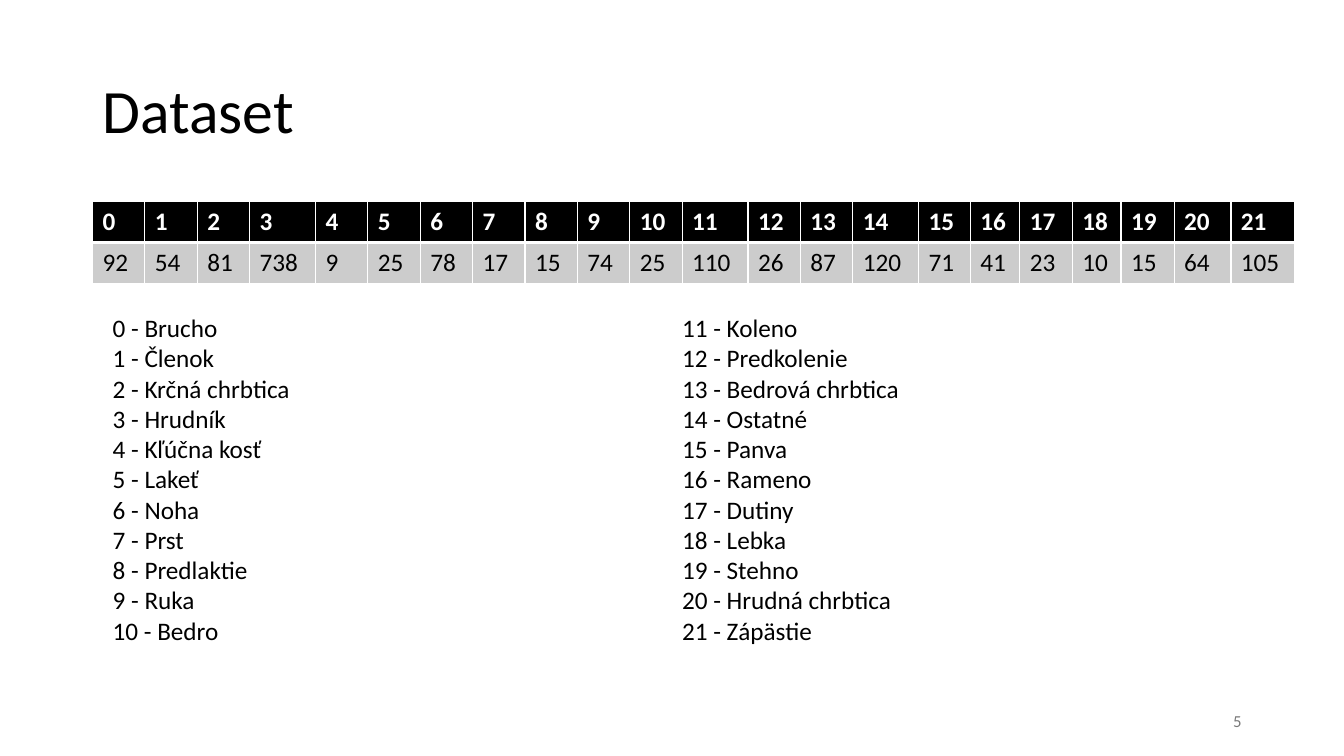
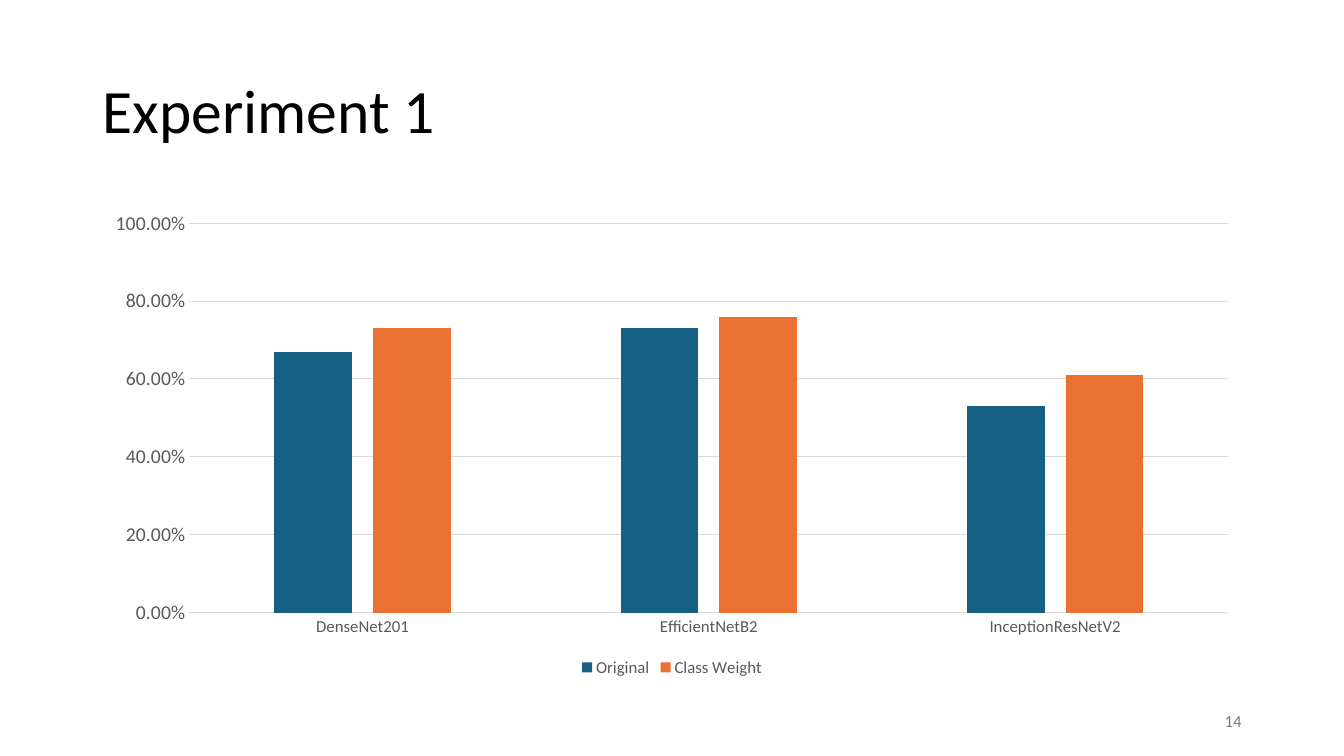
from dataclasses import dataclass

from lxml import etree
from pptx import Presentation
from pptx.chart.data import CategoryChartData
from pptx.dml.color import RGBColor
from pptx.enum.chart import XL_CHART_TYPE as ChartType
from pptx.enum.chart import XL_LEGEND_POSITION as LegendPosition
from pptx.enum.chart import XL_TICK_MARK as TickMark
from pptx.enum.text import MSO_ANCHOR as Anchor
from pptx.enum.text import MSO_AUTO_SIZE as AutoSize
from pptx.enum.text import PP_ALIGN as Align
from pptx.oxml.ns import qn
from pptx.util import Cm, Pt

# Shared style
FONT = "Calibri"
BLACK = RGBColor(0x00, 0x00, 0x00)
WHITE = RGBColor(0xFF, 0xFF, 0xFF)
CELL_GREY = RGBColor(0xCC, 0xCC, 0xCC)
NUMBER_GREY = RGBColor(0x79, 0x79, 0x79)
AXIS_GREY = RGBColor(0x59, 0x59, 0x59)
GRID_GREY = RGBColor(0xD9, 0xD9, 0xD9)
BLUE = RGBColor(0x15, 0x60, 0x82)
ORANGE = RGBColor(0xE9, 0x71, 0x32)

LEFT, CONTENT_TOP, CONTENT_WIDTH = Cm(2.33), Cm(5.08), Cm(29.21)
ROW_HEIGHT = Cm(1.03)
TITLE_ONLY = 5


@dataclass(frozen=True)
class BodyPart:
    name: str
    count: int
    width: float = 1.32  # column width in centimetres


@dataclass(frozen=True)
class Series:
    name: str
    values: tuple[float, ...]
    color: RGBColor


BODY_PARTS = [
    BodyPart("Brucho", 92),
    BodyPart("Členok", 54),
    BodyPart("Krčná chrbtica", 81),
    BodyPart("Hrudník", 738, 1.66),
    BodyPart("Kľúčna kosť", 9),
    BodyPart("Lakeť", 25),
    BodyPart("Noha", 78),
    BodyPart("Prst", 17),
    BodyPart("Predlaktie", 15),
    BodyPart("Ruka", 74),
    BodyPart("Bedro", 25),
    BodyPart("Koleno", 110, 1.66),
    BodyPart("Predkolenie", 26),
    BodyPart("Bedrová chrbtica", 87),
    BodyPart("Ostatné", 120, 1.66),
    BodyPart("Panva", 71, 1.3),
    BodyPart("Rameno", 41, 1.25),
    BodyPart("Dutiny", 23),
    BodyPart("Lebka", 10, 1.23),
    BodyPart("Stehno", 15, 1.34),
    BodyPart("Hrudná chrbtica", 64, 1.43),
    BodyPart("Zápästie", 105, 1.6),
]

NETWORKS = ["DenseNet201", "EfficientNetB2", "InceptionResNetV2"]
RESULTS = [
    Series("Original", (0.67, 0.73, 0.53), BLUE),
    Series("Class Weight", (0.73, 0.76, 0.61), ORANGE),
]


def style_font(font, size: float, color: RGBColor, bold: bool = False) -> None:
    font.name = FONT
    font.size = Pt(size)
    font.bold = bold
    font.color.rgb = color


def add_title_slide(presentation, title: str, number: int):
    """Add a slide with the shared title and slide number."""
    slide = presentation.slides.add_slide(presentation.slide_layouts[TITLE_ONLY])
    shape = slide.shapes.title
    shape.left, shape.top = LEFT, Cm(1.01)
    shape.width, shape.height = CONTENT_WIDTH, Cm(3.68)
    frame = shape.text_frame
    frame.text = title
    frame.auto_size = AutoSize.NONE
    frame.vertical_anchor = Anchor.MIDDLE
    paragraph = frame.paragraphs[0]
    paragraph.alignment = Align.LEFT
    paragraph.line_spacing = 0.9
    style_font(paragraph.font, 44, BLACK)

    frame = slide.shapes.add_textbox(
        Cm(23.92), Cm(17.65), Cm(7.62), Cm(1.01)
    ).text_frame
    frame.word_wrap = True
    frame.vertical_anchor = Anchor.MIDDLE
    frame.text = str(number)
    frame.paragraphs[0].alignment = Align.RIGHT
    style_font(frame.paragraphs[0].font, 12, NUMBER_GREY)
    return slide


def set_borders(cell, top: float, bottom: float) -> None:
    """Give a cell white borders, 1 pt at the sides."""
    properties = cell._tc.get_or_add_tcPr()
    for tag, width in (("lnL", 1), ("lnR", 1), ("lnT", top), ("lnB", bottom)):
        line = etree.SubElement(properties, qn(f"a:{tag}"), w=str(Pt(width)))
        fill = etree.SubElement(line, qn("a:solidFill"))
        etree.SubElement(fill, qn("a:srgbClr"), val=str(WHITE))


def fill_cell(cell, text: str, header: bool) -> None:
    set_borders(cell, top=1 if header else 3, bottom=3 if header else 1)
    cell.fill.solid()
    cell.fill.fore_color.rgb = BLACK if header else CELL_GREY
    cell.text = text
    style_font(
        cell.text_frame.paragraphs[0].font, 18, WHITE if header else BLACK, header
    )


def add_count_table(slide, parts: list[BodyPart]) -> None:
    width = Cm(sum(part.width for part in parts))
    table = slide.shapes.add_table(
        2, len(parts), LEFT, CONTENT_TOP, width, 2 * ROW_HEIGHT
    ).table
    table.horz_banding = False
    for index, part in enumerate(parts):
        table.columns[index].width = Cm(part.width)
        fill_cell(table.cell(0, index), str(index), header=True)
        fill_cell(table.cell(1, index), str(part.count), header=False)


def add_key(slide, left: Cm, lines: list[str]) -> None:
    """List class numbers with their names, one a line."""
    frame = slide.shapes.add_textbox(left, Cm(7.75), Cm(10.24), Cm(8.71)).text_frame
    frame.word_wrap = True
    frame.auto_size = AutoSize.SHAPE_TO_FIT_TEXT
    frame.text = "\n".join(lines)
    for paragraph in frame.paragraphs:
        style_font(paragraph.font, 18, BLACK)


def add_accuracy_chart(slide, categories: list[str], results: list[Series]) -> None:
    data = CategoryChartData(number_format="0.00%")
    data.categories = categories
    for result in results:
        data.add_series(result.name, result.values)
    chart = slide.shapes.add_chart(
        ChartType.COLUMN_CLUSTERED, LEFT, CONTENT_TOP, CONTENT_WIDTH, Cm(12.09), data
    ).chart
    style_font(chart.font, 10, BLACK)
    chart.has_title = False
    chart.has_legend = True
    chart.legend.position = LegendPosition.BOTTOM
    chart.legend.include_in_layout = False
    style_font(chart.legend.font, 12, AXIS_GREY)

    # Columns
    plot = chart.plots[0]
    plot.gap_width, plot.overlap = 219, -27
    plot.vary_by_categories = False
    for series, result in zip(plot.series, results):
        series.format.fill.solid()
        series.format.fill.fore_color.rgb = result.color

    # Axes
    category_axis, value_axis = chart.category_axis, chart.value_axis
    for axis, size in ((category_axis, 12), (value_axis, 14)):
        axis.major_tick_mark = axis.minor_tick_mark = TickMark.NONE
        style_font(axis.tick_labels.font, size, AXIS_GREY)
    value_axis.minimum_scale, value_axis.maximum_scale = 0, 1
    value_axis.major_unit = 0.2
    value_axis.tick_labels.number_format = "0.00%"
    value_axis.tick_labels.number_format_is_linked = False
    value_axis.format.line.fill.background()
    value_axis.has_major_gridlines = True
    for line in (category_axis.format.line, value_axis.major_gridlines.format.line):
        line.color.rgb = GRID_GREY
        line.width = Pt(0.75)


def main() -> None:
    presentation = Presentation()
    presentation.slide_width, presentation.slide_height = Cm(33.87), Cm(19.05)

    # Dataset: image counts and the class key in two halves
    slide = add_title_slide(presentation, "Dataset", 5)
    add_count_table(slide, BODY_PARTS)
    key = [f"{index} - {part.name}" for index, part in enumerate(BODY_PARTS)]
    half = len(key) // 2
    add_key(slide, Cm(2.59), key[:half])
    add_key(slide, Cm(16.94), key[half:])

    # Experiment 1: accuracy by network
    slide = add_title_slide(presentation, "Experiment 1", 14)
    add_accuracy_chart(slide, NETWORKS, RESULTS)

    presentation.save("out.pptx")


if __name__ == "__main__":
    main()
